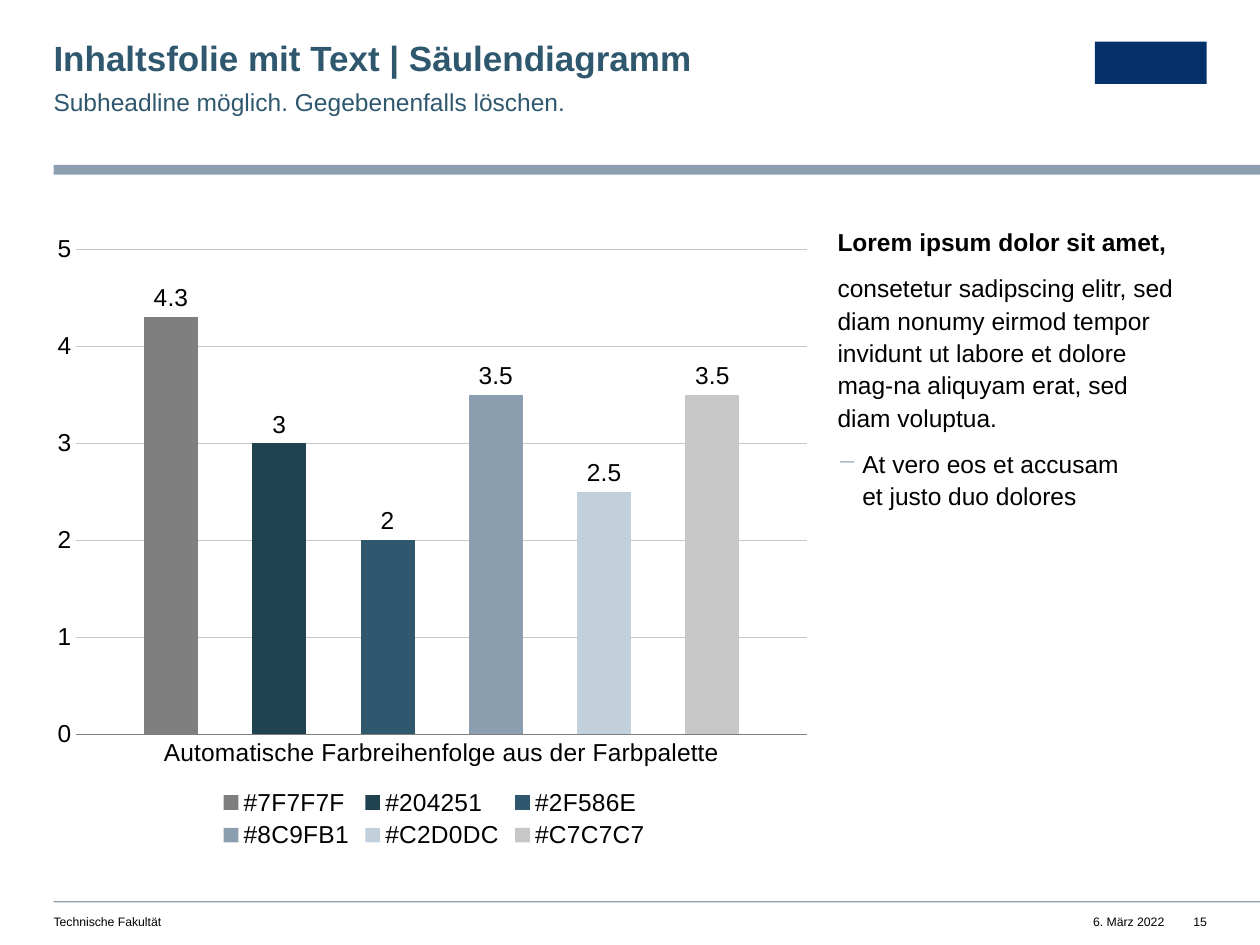
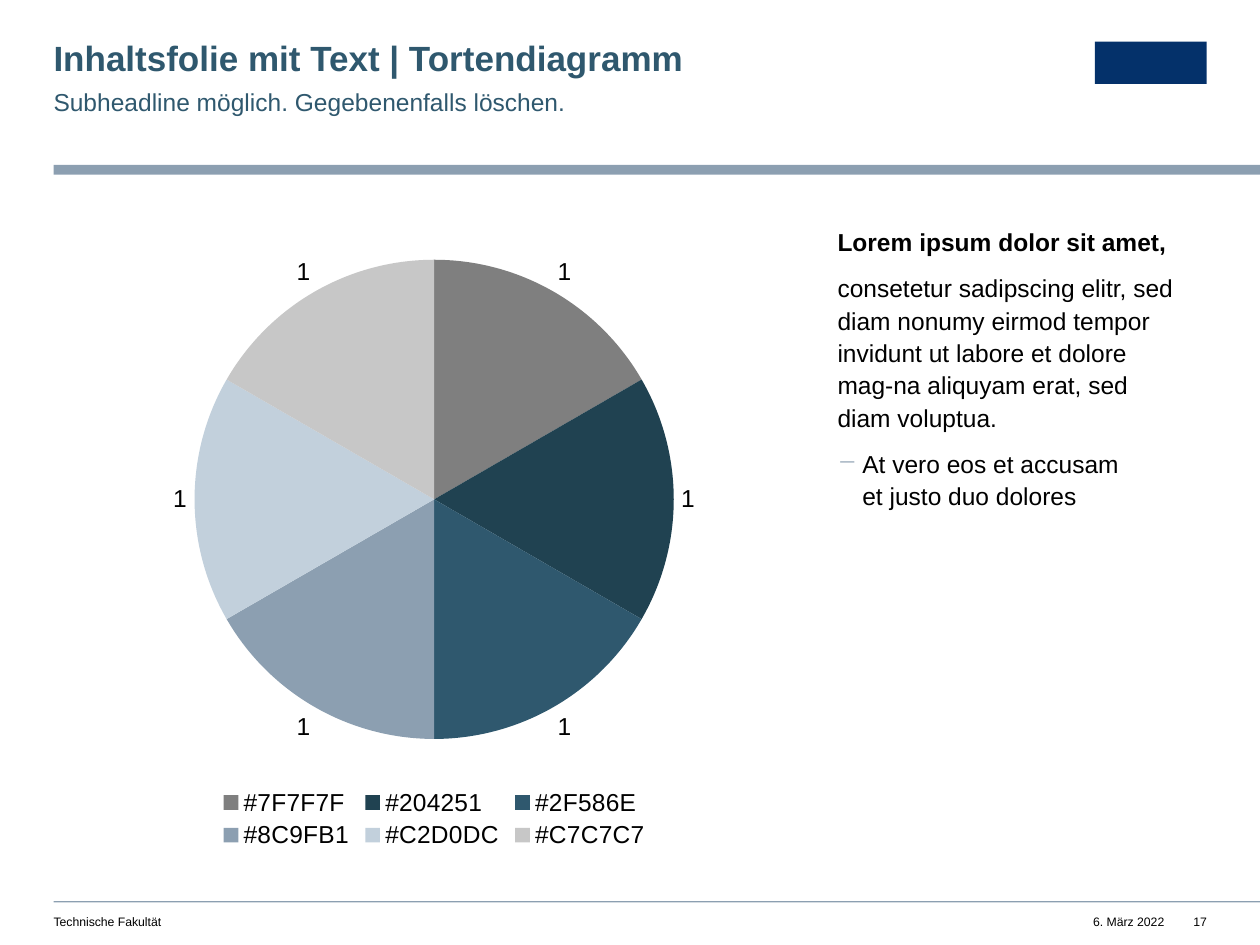
from lxml import etree
from pptx import Presentation
from pptx.chart.data import CategoryChartData
from pptx.dml.color import RGBColor
from pptx.enum.chart import XL_CHART_TYPE, XL_LABEL_POSITION, XL_LEGEND_POSITION, XL_TICK_MARK
from pptx.enum.shapes import MSO_SHAPE
from pptx.enum.text import PP_ALIGN
from pptx.oxml.ns import qn
from pptx.util import Pt

BLACK = RGBColor(0x00, 0x00, 0x00)
GREY = RGBColor(0x7F, 0x7F, 0x7F)
PETROL = RGBColor(0x20, 0x42, 0x51)
BLUE = RGBColor(0x2F, 0x58, 0x6E)
STEEL = RGBColor(0x8C, 0x9F, 0xB1)
ICE = RGBColor(0xC2, 0xD0, 0xDC)
SILVER = RGBColor(0xC7, 0xC7, 0xC7)
NAVY = RGBColor(0x04, 0x31, 0x6A)
PALETTE = [GREY, PETROL, BLUE, STEEL, ICE, SILVER]
PALETTE_NAMES = [f"#{color}" for color in PALETTE]

FONT = "Arial"
PAGE_WIDTH, PAGE_HEIGHT = 720, 540
LEFT, RIGHT = 30.6, 689.6
CONTENT_TOP, CONTENT_HEIGHT = 128, 360
TEXT_LEFT = 478.6
FOOTER_TOP, FOOTER_HEIGHT = 522.5, 9


class SlideBuilder:
    """Holds the deck, its style and the page being filled."""

    def __init__(self):
        self.deck = Presentation()
        self.deck.slide_width = Pt(PAGE_WIDTH)
        self.deck.slide_height = Pt(PAGE_HEIGHT)
        self.page = None

    def start_page(self, title, subtitle, number):
        self.page = self.deck.slides.add_slide(self.deck.slide_layouts[6])
        band_width = PAGE_WIDTH - LEFT
        self.bar(LEFT, 94.3, band_width, 5.5, STEEL)
        self.bar(LEFT, 514.9, band_width, 0.8, STEEL)
        self.bar(RIGHT - 64, 23.8, 64, 24.2, NAVY)
        self.label(title, LEFT, 23.8, 404, 21.6, 20, BLUE, bold=True, spacing=0.9)
        self.label(subtitle, LEFT, 48.2, 404, 17.3, 14, BLUE, spacing=1.1)
        self.label("Technische Fakultät", LEFT, FOOTER_TOP, 323, FOOTER_HEIGHT, 7)
        self.label("6. März 2022", 614.3, FOOTER_TOP, 51, FOOTER_HEIGHT, 7, align=PP_ALIGN.RIGHT)
        self.label(str(number), RIGHT - 14.4, FOOTER_TOP, 14.4, FOOTER_HEIGHT, 7,
                   align=PP_ALIGN.RIGHT)

    def bar(self, left, top, width, height, color):
        shape = self.page.shapes.add_shape(
            MSO_SHAPE.RECTANGLE, Pt(left), Pt(top), Pt(width), Pt(height))
        shape.shadow.inherit = False
        shape.fill.solid()
        shape.fill.fore_color.rgb = color
        shape.line.fill.background()

    def frame(self, left, top, width, height):
        """Adds an empty text box without margins and returns its text frame."""
        box = self.page.shapes.add_textbox(Pt(left), Pt(top), Pt(width), Pt(height))
        frame = box.text_frame
        frame.word_wrap = True
        frame.margin_left = frame.margin_top = frame.margin_right = frame.margin_bottom = 0
        return frame

    def style(self, font, size, color=BLACK, bold=False):
        font.name = FONT
        font.size = Pt(size)
        font.bold = bold
        font.color.rgb = color

    def span(self, para, text, size, color=BLACK, bold=False):
        run = para.add_run()
        run.text = text
        self.style(run.font, size, color, bold)

    def label(self, text, left, top, width, height, size, color=BLACK, bold=False,
              align=PP_ALIGN.LEFT, spacing=1.0):
        para = self.frame(left, top, width, height).paragraphs[0]
        para.alignment = align
        para.line_spacing = spacing
        self.span(para, text, size, color, bold)

    def dash_bullet(self, para, indent):
        properties = para._p.get_or_add_pPr()
        properties.set("marL", str(Pt(indent)))
        properties.set("indent", str(-Pt(indent)))
        color = etree.SubElement(properties, qn("a:buClr"))
        etree.SubElement(color, qn("a:srgbClr"), val=str(STEEL))
        etree.SubElement(properties, qn("a:buChar"), char="−")

    def side_text(self, heading, body, bullet_lines):
        frame = self.frame(TEXT_LEFT, CONTENT_TOP, RIGHT - TEXT_LEFT, CONTENT_HEIGHT)
        frame.margin_right = Pt(14.2)
        paras = [frame.paragraphs[0], frame.add_paragraph(), frame.add_paragraph()]
        for para in paras:
            para.line_spacing = 1.1
            para.space_after = Pt(8)
        self.span(paras[0], heading, 14, bold=True)
        self.span(paras[1], body, 14)
        self.dash_bullet(paras[2], 14.2)
        for index, line in enumerate(bullet_lines):
            if index:
                paras[2].add_line_break()
            self.span(paras[2], line, 14)

    def chart(self, kind, categories, series):
        """Adds a chart with a bottom legend and value labels outside; series maps name to values."""
        data = CategoryChartData()
        data.categories = categories
        for name, values in series.items():
            data.add_series(name, values)
        chart = self.page.shapes.add_chart(
            kind, Pt(LEFT), Pt(CONTENT_TOP), Pt(435), Pt(CONTENT_HEIGHT), data).chart
        self.style(chart.font, 14)
        chart.has_title = False
        chart.has_legend = True
        chart.legend.position = XL_LEGEND_POSITION.BOTTOM
        chart.legend.include_in_layout = False
        self.style(chart.legend.font, 14)
        plot = chart.plots[0]
        plot.has_data_labels = True
        plot.data_labels.show_value = True
        plot.data_labels.position = XL_LABEL_POSITION.OUTSIDE_END
        self.style(plot.data_labels.font, 14)
        return chart

    def paint(self, parts):
        """Fills chart series or points with the palette in order."""
        for part, color in zip(parts, PALETTE):
            part.format.fill.solid()
            part.format.fill.fore_color.rgb = color

    def place_plot(self, chart, x, y, w, h):
        """Fixes the inner plot area, in fractions of the chart."""
        area = chart._chartSpace.chart.plotArea
        for old in area.findall(qn("c:layout")):
            area.remove(old)
        layout = etree.Element(qn("c:layout"))
        area.insert(0, layout)
        manual = etree.SubElement(layout, qn("c:manualLayout"))
        settings = {"layoutTarget": "inner", "xMode": "edge", "yMode": "edge",
                    "x": x, "y": y, "w": w, "h": h}
        for name, value in settings.items():
            etree.SubElement(manual, qn(f"c:{name}"), val=str(value))

    def column_chart(self, category, values):
        series = {name: [value] for name, value in zip(PALETTE_NAMES, values)}
        chart = self.chart(XL_CHART_TYPE.COLUMN_CLUSTERED, [category], series)
        plot = chart.plots[0]
        plot.vary_by_categories = False
        plot.gap_width = 250
        plot.overlap = -100
        self.paint(plot.series)
        for axis in (chart.category_axis, chart.value_axis):
            axis.major_tick_mark = axis.minor_tick_mark = XL_TICK_MARK.NONE
            self.style(axis.tick_labels.font, 14)
        base_line = chart.category_axis.format.line
        base_line.color.rgb = GREY
        base_line.width = Pt(0.5)
        values_axis = chart.value_axis
        values_axis.minimum_scale, values_axis.maximum_scale = 0, 5
        values_axis.major_unit = 1
        values_axis.format.line.fill.background()
        grid_line = values_axis.major_gridlines.format.line
        grid_line.color.rgb = SILVER
        grid_line.width = Pt(0.5)
        self.place_plot(chart, 0.03, 0.04, 0.96, 0.77)

    def pie_chart(self, values):
        chart = self.chart(XL_CHART_TYPE.PIE, PALETTE_NAMES, {"Series 1": values})
        plot = chart.plots[0]
        plot.vary_by_categories = True
        points = plot.series[0].points
        self.paint(points[index] for index in range(len(values)))


def main():
    builder = SlideBuilder()
    pages = [
        ("Säulendiagramm", 15, lambda: builder.column_chart(
            "Automatische Farbreihenfolge aus der Farbpalette", [4.3, 3, 2, 3.5, 2.5, 3.5])),
        ("Tortendiagramm", 17, lambda: builder.pie_chart([1] * 6)),
    ]
    for chart_name, number, draw_chart in pages:
        builder.start_page(f"Inhaltsfolie mit Text | {chart_name}",
                           "Subheadline möglich. Gegebenenfalls löschen.", number)
        builder.side_text(
            "Lorem ipsum dolor sit amet,",
            "consetetur sadipscing elitr, sed diam nonumy eirmod tempor invidunt ut labore "
            "et dolore mag-na aliquyam erat, sed diam voluptua.",
            ["At vero eos et accusam", "et justo duo dolores"])
        draw_chart()
    builder.deck.save("out.pptx")


if __name__ == "__main__":
    main()
